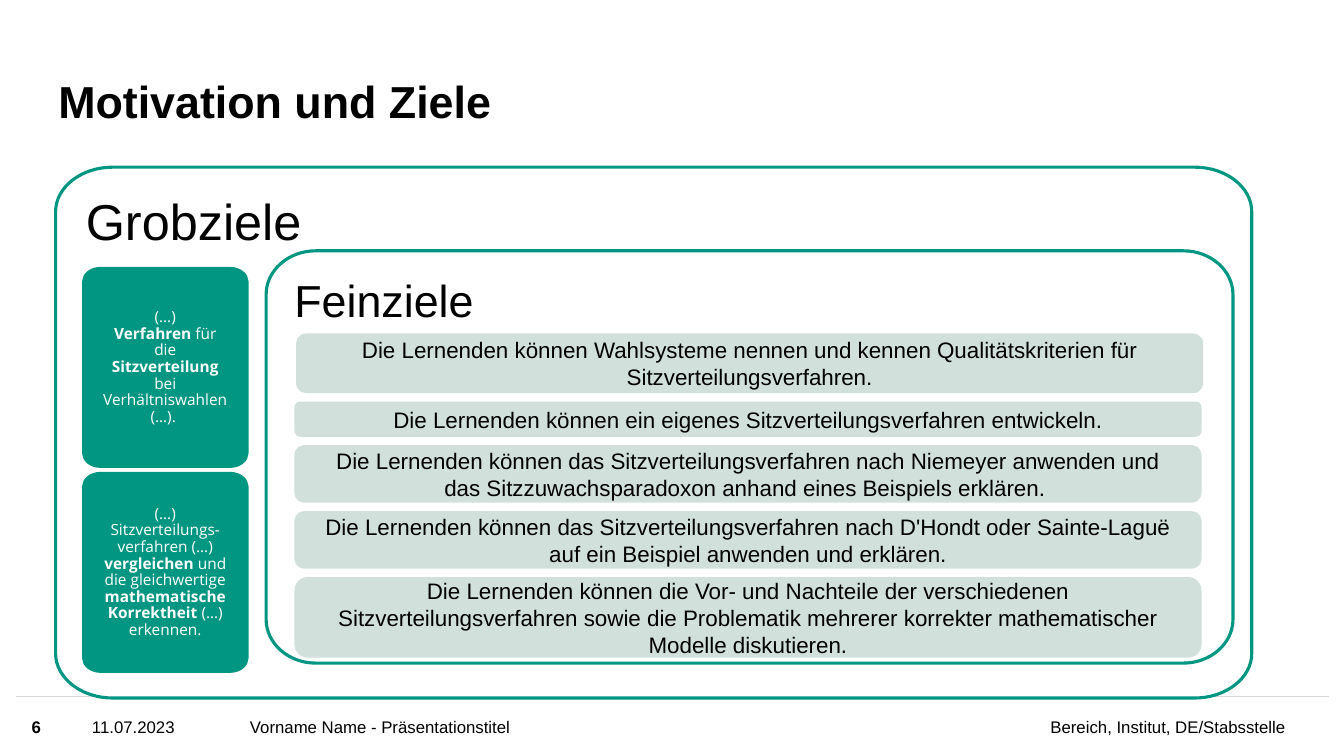
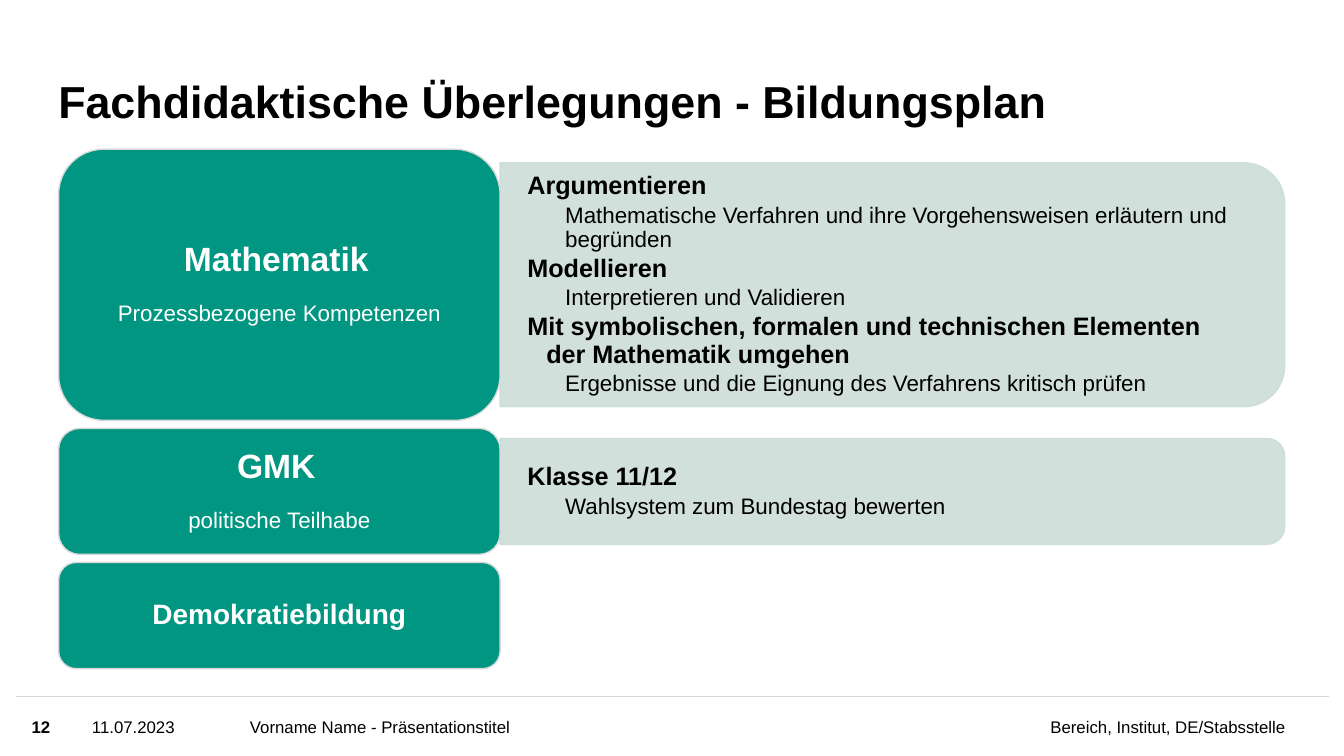
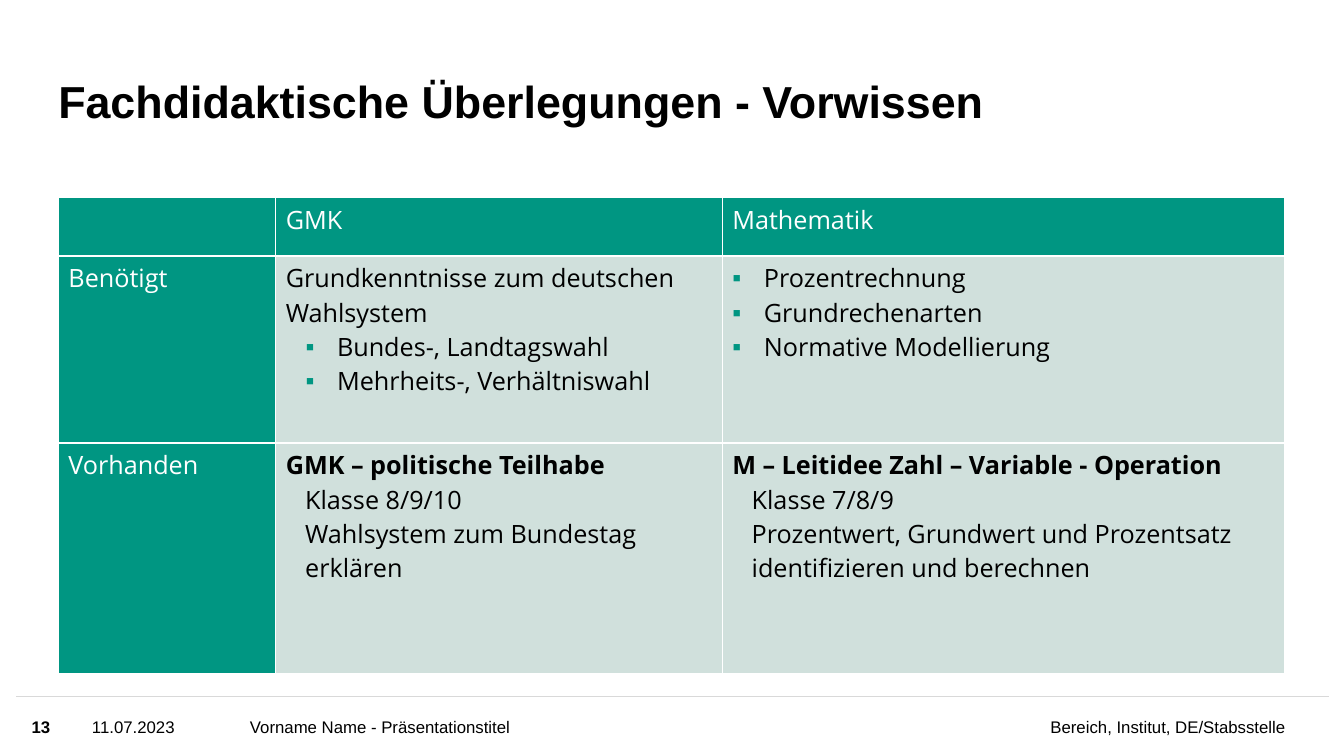
from dataclasses import dataclass
from typing import Any, NamedTuple, Optional, Sequence

from lxml.etree import SubElement
from pptx import Presentation
from pptx.dml.color import RGBColor
from pptx.enum.shapes import MSO_CONNECTOR, MSO_SHAPE
from pptx.enum.text import MSO_ANCHOR, PP_ALIGN
from pptx.oxml.ns import qn
from pptx.util import Emu, Pt

# Grid: 160 columns by 90 rows of square cells; all lengths are in cells
COLUMNS, ROWS = 160, 90
CELL = 76200
ARC = 0.55  # control point share of a quarter ellipse


@dataclass(frozen=True)
class Theme:
    ink: str = "000000"
    paper: str = "FFFFFF"
    green: str = "009682"
    mint: str = "CCDDD8"
    mint_cell: str = "D0E0DC"
    rule: str = "D9D9D9"
    mint_opacity: int = 90
    sans: str = "Arial"
    humanist: str = "Open Sans"
    display: int = 36
    title: int = 32
    subject: int = 24
    topic: int = 20
    lead: int = 18
    body: int = 16
    footer: int = 12
    card: int = 11
    frame_line: float = 2.25
    thin_line: float = 1


THEME = Theme()


class Box(NamedTuple):
    left: float
    top: float
    width: float
    height: float


class Run(NamedTuple):
    text: str
    bold: bool = False
    size: Optional[int] = None


@dataclass(frozen=True)
class Para:
    runs: Sequence[Run]
    size: int
    color: str = THEME.ink
    font: str = THEME.sans
    align: PP_ALIGN = PP_ALIGN.LEFT
    spacing: float = 1.0
    before: float = 0
    after: float = 0
    margin: float = 0
    hang: float = 0
    bullet: str = ""


@dataclass(frozen=True)
class Frame:
    """Outline box with elliptical corners and its text."""
    box: Box
    radius: tuple[float, float]
    fill: str
    inset: float
    anchor: MSO_ANCHOR
    text: Para


@dataclass(frozen=True)
class Goal:
    height: float
    text: str
    shift: float = 0


@dataclass(frozen=True)
class Subject:
    height: float
    heading: Para
    focus: str = ""
    panel_height: float = 0
    skills: Sequence[tuple[str, str]] = ()


def cells(count: float) -> Emu:
    return Emu(round(count * CELL))


def rgb(value: str) -> RGBColor:
    return RGBColor.from_string(value)


def assign(target: Any, values: dict[str, Any]) -> None:
    for key, value in values.items():
        setattr(target, key, value)


def plain(text: str, size: int, bold: bool = False, **style: Any) -> Para:
    return Para([Run(text, bold)], size, **style)


# Text
def write(frame: Any, paras: Sequence[Para]) -> None:
    for index, para in enumerate(paras):
        line = frame.add_paragraph() if index else frame.paragraphs[0]
        assign(line, {"alignment": para.align, "line_spacing": para.spacing,
                      "space_before": Pt(para.before), "space_after": Pt(para.after)})
        props = line._p.get_or_add_pPr()
        props.set("marL", str(cells(para.margin)))
        props.set("indent", str(cells(-para.hang)))
        if para.bullet:
            tint = SubElement(props, qn("a:buClr"))
            SubElement(tint, qn("a:srgbClr"), val=THEME.green)
            SubElement(props, qn("a:buFont"), typeface=THEME.sans)
            SubElement(props, qn("a:buChar"), char=para.bullet)
        for part in para.runs:
            size = Pt(part.size or para.size)
            for row, text in enumerate(part.text.split("\n")):
                if row:
                    line.add_line_break()
                    SubElement(line._p[-1], qn("a:rPr"), sz=str(round(size.pt * 100)))
                if not text:
                    continue
                run = line.add_run()
                run.text = text
                assign(run.font, {"name": para.font, "size": size, "bold": part.bold})
                run.font.color.rgb = rgb(para.color)


def fill_text(shape: Any, paras: Sequence[Para], anchor: MSO_ANCHOR = MSO_ANCHOR.MIDDLE,
              inset: float = 0, inset_y: Optional[float] = None) -> None:
    side, edge = cells(inset), cells(inset if inset_y is None else inset_y)
    assign(shape.text_frame, {"word_wrap": True, "vertical_anchor": anchor,
                              "margin_left": side, "margin_right": side,
                              "margin_top": edge, "margin_bottom": edge})
    write(shape.text_frame, paras)


def add_text(slide: Any, box: Box, paras: Sequence[Para], **layout: Any) -> None:
    fill_text(slide.shapes.add_textbox(*map(cells, box)), paras, **layout)


# Shapes
def paint(shape: Any, fill: str, line: str = "", weight: float = 0, opacity: int = 100) -> None:
    shape.shadow.inherit = False
    shape.fill.solid()
    shape.fill.fore_color.rgb = rgb(fill)
    if line:
        shape.line.color.rgb = rgb(line)
        shape.line.width = Pt(weight)
    else:
        shape.line.fill.background()
    if opacity < 100:
        for color in shape.element.spPr.iter(qn("a:srgbClr")):
            SubElement(color, qn("a:alpha"), val=str(opacity * 1000))


def round_corners(shape: Any) -> None:
    """Turn every second segment of the outline into a quarter ellipse."""
    points = [(int(pt.get("x")), int(pt.get("y"))) for pt in shape.element.spPr.iter(qn("a:pt"))]
    segments = list(shape.element.spPr.iter(qn("a:lnTo")))
    for index in range(0, len(segments), 2):
        start, end = points[index], points[index + 1]
        corner = (start[0], end[1]) if index % 4 == 0 else (end[0], start[1])
        curve = segments[index]
        curve.tag = qn("a:cubicBezTo")
        curve.remove(curve[0])
        controls = [tuple(round(p + (q - p) * ARC) for p, q in zip(point, corner))
                    for point in (start, end)]
        for x, y in (*controls, end):
            SubElement(curve, qn("a:pt"), x=str(x), y=str(y))


def add_frame(slide: Any, frame: Frame) -> None:
    left, top, width, height = frame.box
    rx, ry = frame.radius
    right, bottom = left + width, top + height
    outline = [(left, top + ry), (left + rx, top), (right - rx, top), (right, top + ry),
               (right, bottom - ry), (right - rx, bottom), (left + rx, bottom),
               (left, bottom - ry)]
    start, *rest = [(cells(x), cells(y)) for x, y in outline]
    builder = slide.shapes.build_freeform(*start)
    builder.add_line_segments(rest, close=True)
    shape = builder.convert_to_shape()
    round_corners(shape)
    paint(shape, frame.fill, THEME.green, THEME.frame_line)
    fill_text(shape, [frame.text], frame.anchor, frame.inset)


def add_panel(slide: Any, box: Box) -> None:
    """Panel rounded on its right side: a turned round2SameRect."""
    turned = Box(box.left + (box.width - box.height) / 2,
                 box.top + (box.height - box.width) / 2, box.height, box.width)
    panel = slide.shapes.add_shape(MSO_SHAPE.ROUND_2_SAME_RECTANGLE, *map(cells, turned))
    panel.rotation = 90
    paint(panel, THEME.mint, THEME.mint, THEME.thin_line, THEME.mint_opacity)


# Shared title and footer
def start_slide(deck: Any, title: str, number: int) -> Any:
    slide = deck.slides.add_slide(deck.slide_layouts[6])
    rule = slide.shapes.add_connector(MSO_CONNECTOR.STRAIGHT, cells(1.92), cells(82.92),
                                      cells(158.16), cells(82.92))
    rule.line.color.rgb = rgb(THEME.rule)
    rule.line.width = Pt(THEME.thin_line)
    SubElement(rule.element.spPr, qn("a:effectLst"))
    footer = [(29.76, 64.44, "Vorname Name - Präsentationstitel", False, PP_ALIGN.LEFT),
              (96.36, 56.7, "Bereich, Institut, DE/Stabsstelle", False, PP_ALIGN.RIGHT),
              (10.95, 18, "11.07.2023", False, PP_ALIGN.LEFT),
              (3.75, 5.76, str(number), True, PP_ALIGN.LEFT)]
    for left, width, text, bold, align in footer:
        add_text(slide, Box(left, 83, width, ROWS - 83),
                 [plain(text, THEME.footer, bold, align=align)])
    add_text(slide, Box(6.94, 5.2, 120.2, 10),
             [plain(title, THEME.title, True, spacing=0.9)], anchor=MSO_ANCHOR.BOTTOM)
    return slide


# Goals slide
CARDS = [
    [Run("(…)\n"), Run("Verfahren", True), Run(" für die "), Run("Sitzverteilung", True),
     Run(" bei Verhältniswahlen\n(…). ")],
    [Run("(…)\nSitzverteilungs-verfahren (…) "), Run("vergleichen", True),
     Run(" und die gleichwertige "), Run("mathematische Korrektheit ", True),
     Run("(…) erkennen.")],
]
GOALS = [
    Goal(7.1, "Die Lernenden können Wahlsysteme nennen und kennen Qualitätskriterien "
              "für Sitzverteilungsverfahren.", shift=0.2),
    Goal(4.2, "Die Lernenden können ein eigenes Sitzverteilungsverfahren entwickeln."),
    Goal(6.85, "Die Lernenden können das Sitzverteilungsverfahren nach Niemeyer anwenden "
               "und das Sitzzuwachsparadoxon anhand eines Beispiels erklären. "),
    Goal(6.85, "Die Lernenden können das Sitzverteilungsverfahren nach D'Hondt oder "
               "Sainte-Laguë auf ein Beispiel anwenden und erklären."),
    Goal(9.6, "Die Lernenden können die Vor- und Nachteile der verschiedenen "
              "Sitzverteilungsverfahren sowie die Problematik mehrerer korrekter "
              "mathematischer Modelle diskutieren."),
]


def build_goals(deck: Any) -> None:
    slide = start_slide(deck, "Motivation und Ziele", 6)
    add_frame(slide, Frame(Box(6.62, 19.9, 142.4, 63.2), (6.8, 5.3), THEME.paper, 3.6,
                           MSO_ANCHOR.TOP, plain("Grobziele", THEME.display, spacing=0.9)))
    for index, runs in enumerate(CARDS):
        text = Para(runs, THEME.card, THEME.paper, THEME.humanist, PP_ALIGN.CENTER, 0.9)
        add_frame(slide, Frame(Box(9.96, 31.96 + 24.4 * index, 19.44, 23.55), (2, 1.55),
                               THEME.green, 2.28, MSO_ANCHOR.MIDDLE, text))
    add_frame(slide, Frame(Box(31.68, 29.86, 115.1, 49.08), (5.9, 5.2), THEME.paper, 3.36,
                           MSO_ANCHOR.TOP, plain("Feinziele", THEME.title, spacing=0.9)))
    top, gap = 39.7, 1
    for goal in GOALS:
        bar = slide.shapes.add_shape(MSO_SHAPE.ROUNDED_RECTANGLE, *map(
            cells, Box(35.05 + goal.shift, top, 108, goal.height)))
        paint(bar, THEME.mint, opacity=THEME.mint_opacity)
        fill_text(bar, [plain(goal.text, THEME.body, align=PP_ALIGN.CENTER)],
                  inset=3.24, inset_y=0)
        top += goal.height + gap


# Curriculum slide
def subject_para(*runs: Run, size: int = THEME.subject, before: float = 0) -> Para:
    return Para(runs, size, THEME.paper, align=PP_ALIGN.CENTER, spacing=0.9, before=before)


SUBJECTS = [
    Subject(32.28, subject_para(Run("Mathematik", True), Run(" ", True, THEME.body)),
            "Prozessbezogene Kompetenzen", 29.04, [
        ("Argumentieren",
         "Mathematische Verfahren und ihre Vorgehensweisen erläutern und begründen"),
        ("Modellieren", "Interpretieren und Validieren"),
        ("Mit symbolischen, formalen und technischen Elementen der Mathematik umgehen",
         "Ergebnisse und die Eignung des Verfahrens kritisch prüfen")]),
    Subject(15, subject_para(Run("GMK", True), Run(" ", True, THEME.body)),
            "politische Teilhabe", 12.6,
            [("Klasse 11/12", "Wahlsystem zum Bundestag bewerten")]),
    Subject(12.65, subject_para(Run("Demokratiebildung", True), size=THEME.topic)),
]


def build_curriculum(deck: Any) -> None:
    slide = start_slide(deck, "Fachdidaktische Überlegungen - Bildungsplan", 12)
    left, width, top, gap = 6.98, 52.56, 17.76, 0.96
    for subject in SUBJECTS:
        if subject.skills:
            panel = Box(left + width, top + (subject.height - subject.panel_height) / 2,
                        93.4, subject.panel_height)
            add_panel(slide, panel)
            paras = []
            for skill, detail in subject.skills:
                paras += [plain(skill, THEME.lead, True, spacing=0.9, after=2.7,
                                margin=2.25, hang=2.25),
                          plain(detail, THEME.body, spacing=0.9, after=2.4, margin=4.5)]
            add_text(slide, panel._replace(width=92), paras, inset=3.24, inset_y=0)
        pill = slide.shapes.add_shape(MSO_SHAPE.ROUNDED_RECTANGLE, *map(
            cells, Box(left, top, width, subject.height)))
        paint(pill, THEME.green, THEME.rule, THEME.thin_line)
        label = [subject.heading]
        if subject.focus:
            label.append(subject_para(Run(subject.focus), size=THEME.body, before=16.6))
        fill_text(pill, label)
        top += subject.height + gap


# Prior knowledge slide
def cell_para(text: str, bold: bool = False, **style: Any) -> Para:
    return plain(text, THEME.lead, bold, font=THEME.humanist, **style)


def head(text: str) -> list[Para]:
    return [cell_para(text, color=THEME.paper)]


def bullets(items: Sequence[str], margin: float) -> list[Para]:
    return [cell_para(item, margin=margin, hang=3.75, bullet="▪") for item in items]


def topic(heading: str, lines: Sequence[str]) -> list[Para]:
    return [cell_para(heading, True)] + [cell_para(line, margin=2.3) for line in lines]


KNOWLEDGE = [
    [[], head("GMK"), head("Mathematik")],
    [head("Benötigt"),
     [cell_para("Grundkenntnisse zum deutschen Wahlsystem")]
     + bullets(["Bundes-, Landtagswahl", "Mehrheits-, Verhältniswahl"], 6.1),
     bullets(["Prozentrechnung", "Grundrechenarten", "Normative Modellierung"], 3.75)],
    [head("Vorhanden"),
     topic("GMK – politische Teilhabe",
           ["Klasse 8/9/10 \nWahlsystem zum Bundestag erklären"]),
     topic("M – Leitidee Zahl – Variable - Operation",
           ["Klasse 7/8/9",
            "Prozentwert, Grundwert und Prozentsatz identifizieren und berechnen"])],
]


def add_borders(cell: Any) -> None:
    props = cell._tc.get_or_add_tcPr()
    for side in ("lnL", "lnR", "lnT", "lnB"):
        edge = SubElement(props, qn(f"a:{side}"), w=str(Pt(THEME.thin_line)))
        SubElement(SubElement(edge, qn("a:solidFill")), qn("a:srgbClr"), val=THEME.paper)


def build_knowledge(deck: Any) -> None:
    slide = start_slide(deck, "Fachdidaktische Überlegungen - Vorwissen", 13)
    widths, heights = (25.88, 53.16, 66.92), (6.94, 22.28, 27.4)
    grid = slide.shapes.add_table(len(heights), len(widths), *map(
        cells, Box(6.95, 23.53, sum(widths), sum(heights)))).table
    assign(grid, {"first_row": False, "horz_banding": False})
    for column, width in zip(grid.columns, widths):
        column.width = cells(width)
    for row, height in zip(grid.rows, heights):
        row.height = cells(height)
    for r, entries in enumerate(KNOWLEDGE):
        for c, paras in enumerate(entries):
            cell = grid.cell(r, c)
            add_borders(cell)
            cell.fill.solid()
            cell.fill.fore_color.rgb = rgb(THEME.mint_cell if r and c else THEME.green)
            write(cell.text_frame, paras)


def main() -> None:
    deck = Presentation()
    assign(deck, {"slide_width": cells(COLUMNS), "slide_height": cells(ROWS)})
    for build in (build_goals, build_curriculum, build_knowledge):
        build(deck)
    deck.save("out.pptx")


if __name__ == "__main__":
    main()
